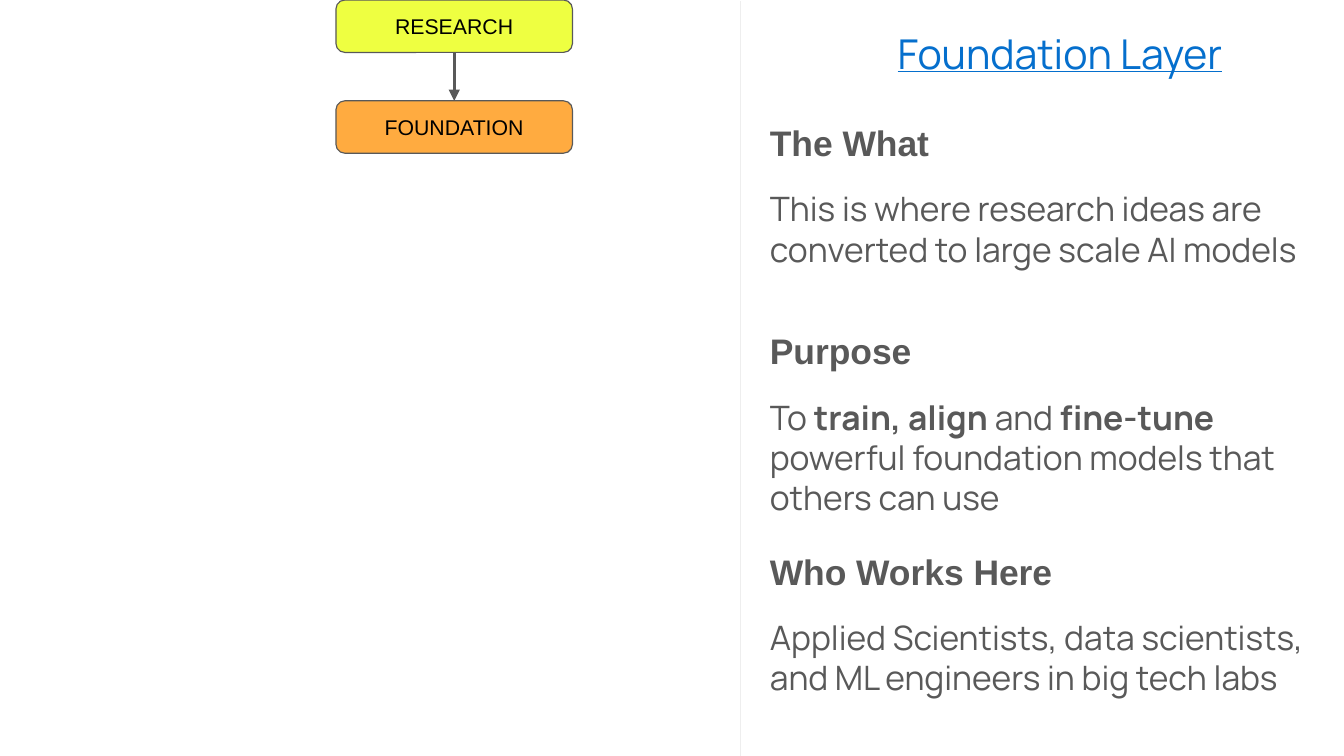
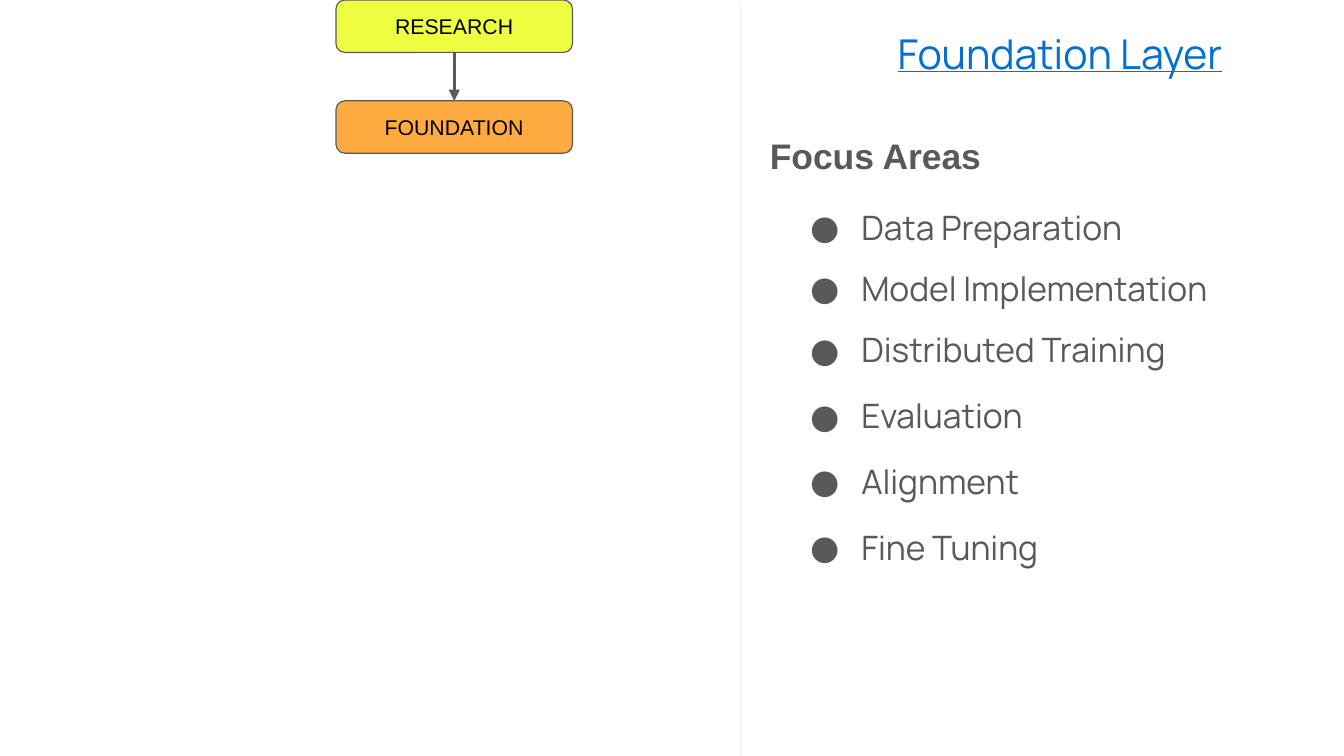
from dataclasses import dataclass
from typing import NamedTuple

from lxml import etree
from pptx import Presentation
from pptx.dml.color import RGBColor
from pptx.enum.shapes import MSO_CONNECTOR, MSO_SHAPE
from pptx.enum.text import MSO_ANCHOR, PP_ALIGN
from pptx.oxml.ns import qn
from pptx.util import Inches, Pt

ROUNDED = MSO_SHAPE.ROUNDED_RECTANGLE
STRAIGHT = MSO_CONNECTOR.STRAIGHT
MIDDLE = MSO_ANCHOR.MIDDLE
CENTER = PP_ALIGN.CENTER


@dataclass(frozen=True)
class Theme:
    background: str = "FFFFFF"
    text: str = "595959"
    title: str = "056FCD"
    divider: str = "EEEEEE"
    box_text: str = "000000"
    research: str = "EEFF41"
    foundation: str = "FFAB40"
    heading_font: str = "Arial"
    body_font: str = "Manrope"
    title_size: float = 22
    heading_size: float = 19
    body_size: float = 18
    box_size: float = 11.4


THEME = Theme()


class Style(NamedTuple):
    font: str
    size: float
    color: str
    bold: bool | None = None
    underline: bool | None = None


TITLE = Style(THEME.body_font, THEME.title_size, THEME.title, underline=True)
HEADING = Style(THEME.heading_font, THEME.heading_size, THEME.text, bold=True)
BODY = Style(THEME.body_font, THEME.body_size, THEME.text)
BOX = Style(THEME.heading_font, THEME.box_size, THEME.box_text)


class Run(NamedTuple):
    text: str
    bold: bool | None = None


class Layer(NamedTuple):
    label: str
    fill: str


class Section(NamedTuple):
    heading: str
    top: float
    heading_width: float
    body_height: float
    runs: tuple[Run, ...]


class Bullet(NamedTuple):
    text: str
    top: float


# Slide size, in inches (16:9)
SLIDE_WIDTH = 10
SLIDE_HEIGHT = SLIDE_WIDTH * 9 / 16

# Layer stack, in inches
LAYERS = (Layer("RESEARCH", THEME.research), Layer("FOUNDATION", THEME.foundation))
BOX_LEFT, BOX_WIDTH, BOX_HEIGHT, LAYER_PITCH = 2.5, 1.76, 0.39, 0.75

# Text column, in inches
DIVIDER_X = 5.51
TEXT_LEFT, BULLET_LEFT, TEXT_WIDTH = 5.63, 5.81, 4.19
HEADING_WIDTH, HEADING_HEIGHT, BODY_DROP, BODY_HEIGHT = 1.86, 0.39, 0.5, 0.67

SECTIONS = (
    Section("The What", 0.8, HEADING_WIDTH, BODY_HEIGHT, (
        Run("This is where research ideas are converted to large scale AI models"),)),
    Section("Purpose", 2.35, HEADING_WIDTH, 1.04, (
        Run("To "), Run("train, align", True), Run(" and "), Run("fine-tune", True),
        Run(" powerful foundation models that others can use"))),
    Section("Who Works Here", 3.99, 2.63, BODY_HEIGHT, (
        Run("Applied Scientists, data scientists, and ML engineers in big tech labs"),)),
)

FOCUS_AREAS = (
    Bullet("Data Preparation", 1.44),
    Bullet("Model Implementation", 1.89),
    Bullet("Distributed Training", 2.35),
    Bullet("Evaluation", 2.84),
    Bullet("Alignment", 3.33),
    Bullet("Fine Tuning", 3.82),
)


def rgb(color: str) -> RGBColor:
    return RGBColor.from_string(color)


def set_margins(tf, margin: float) -> None:
    tf.margin_left = tf.margin_right = tf.margin_top = tf.margin_bottom = Inches(margin)
    tf.word_wrap = True


def style_paragraph(p, style: Style) -> None:
    font = p.font
    font.name = style.font
    font.size = Pt(style.size)
    font.color.rgb = rgb(style.color)
    font.bold = style.bold
    font.underline = style.underline


def add_bullet(p) -> None:
    p_pr = p._p.get_or_add_pPr()
    p_pr.set("marL", str(Inches(0.5)))
    p_pr.set("indent", str(Inches(-0.38)))
    bullet_color = etree.SubElement(p_pr, qn("a:buClr"))
    etree.SubElement(bullet_color, qn("a:srgbClr"), val=THEME.text)
    etree.SubElement(p_pr, qn("a:buFont"), typeface=THEME.body_font)
    etree.SubElement(p_pr, qn("a:buChar"), char="●")


def add_text(slide, left: float, top: float, width: float, height: float,
             runs: tuple[Run, ...], style: Style, bullet: bool = False) -> None:
    sp = slide.shapes.add_textbox(Inches(left), Inches(top), Inches(width), Inches(height))
    set_margins(sp.text_frame, 0.1)
    p = sp.text_frame.paragraphs[0]
    if bullet:
        add_bullet(p)
    style_paragraph(p, style)
    for run in runs:
        r = p.add_run()
        r.text = run.text
        if run.bold:
            r.font.bold = True


def add_heading(slide, text: str, top: float, width: float) -> None:
    add_text(slide, TEXT_LEFT, top, width, HEADING_HEIGHT, (Run(text),), HEADING)


def add_line(slide, x: float, top: float, bottom: float, color: str,
             width: float, arrow: bool = False) -> None:
    line = slide.shapes.add_connector(STRAIGHT, Inches(x), Inches(top), Inches(x), Inches(bottom))
    line.line.color.rgb = rgb(color)
    line.line.width = Pt(width)
    sp_pr = line._element.spPr
    if arrow:
        etree.SubElement(sp_pr.find(qn("a:ln")), qn("a:tailEnd"), type="triangle")
    etree.SubElement(sp_pr, qn("a:effectLst"))


def add_layer(slide, layer: Layer, top: float) -> None:
    sp = slide.shapes.add_shape(ROUNDED, Inches(BOX_LEFT), Inches(top),
                                Inches(BOX_WIDTH), Inches(BOX_HEIGHT))
    sp.shadow.inherit = False
    sp.adjustments[0] = 0.17
    sp.fill.solid()
    sp.fill.fore_color.rgb = rgb(layer.fill)
    sp.line.color.rgb = rgb(THEME.text)
    sp.line.width = Pt(0.61)
    tf = sp.text_frame
    set_margins(tf, 0.08)
    tf.vertical_anchor = MIDDLE
    p = tf.paragraphs[0]
    p.text = layer.label
    p.alignment = CENTER
    style_paragraph(p, BOX)


def add_layer_slide(prs):
    """Add a slide with the layer stack, the divider and the title."""
    slide = prs.slides.add_slide(prs.slide_layouts[6])
    slide.background.fill.solid()
    slide.background.fill.fore_color.rgb = rgb(THEME.background)
    add_line(slide, DIVIDER_X, 0.01, 5.67, THEME.divider, 0.75)
    add_text(slide, 6.58, 0.11, 3.23, 0.42, (Run("Foundation Layer"),), TITLE)
    for i, layer in enumerate(LAYERS):
        top = i * LAYER_PITCH
        add_layer(slide, layer, top)
        if i:
            add_line(slide, BOX_LEFT + BOX_WIDTH / 2, top - LAYER_PITCH + BOX_HEIGHT, top,
                     THEME.text, 1.5, arrow=True)
    return slide


def build_overview(prs) -> None:
    slide = add_layer_slide(prs)
    for section in SECTIONS:
        add_heading(slide, section.heading, section.top, section.heading_width)
        add_text(slide, TEXT_LEFT, section.top + BODY_DROP, TEXT_WIDTH,
                 section.body_height, section.runs, BODY)


def build_focus_areas(prs) -> None:
    slide = add_layer_slide(prs)
    add_heading(slide, "Focus Areas", 0.9, HEADING_WIDTH)
    for area in FOCUS_AREAS:
        add_text(slide, BULLET_LEFT, area.top, TEXT_WIDTH, BODY_HEIGHT,
                 (Run(area.text),), BODY, bullet=True)


def main() -> None:
    prs = Presentation()
    prs.slide_width = Inches(SLIDE_WIDTH)
    prs.slide_height = Inches(SLIDE_HEIGHT)
    build_overview(prs)
    build_focus_areas(prs)
    prs.save("out.pptx")


if __name__ == "__main__":
    main()
